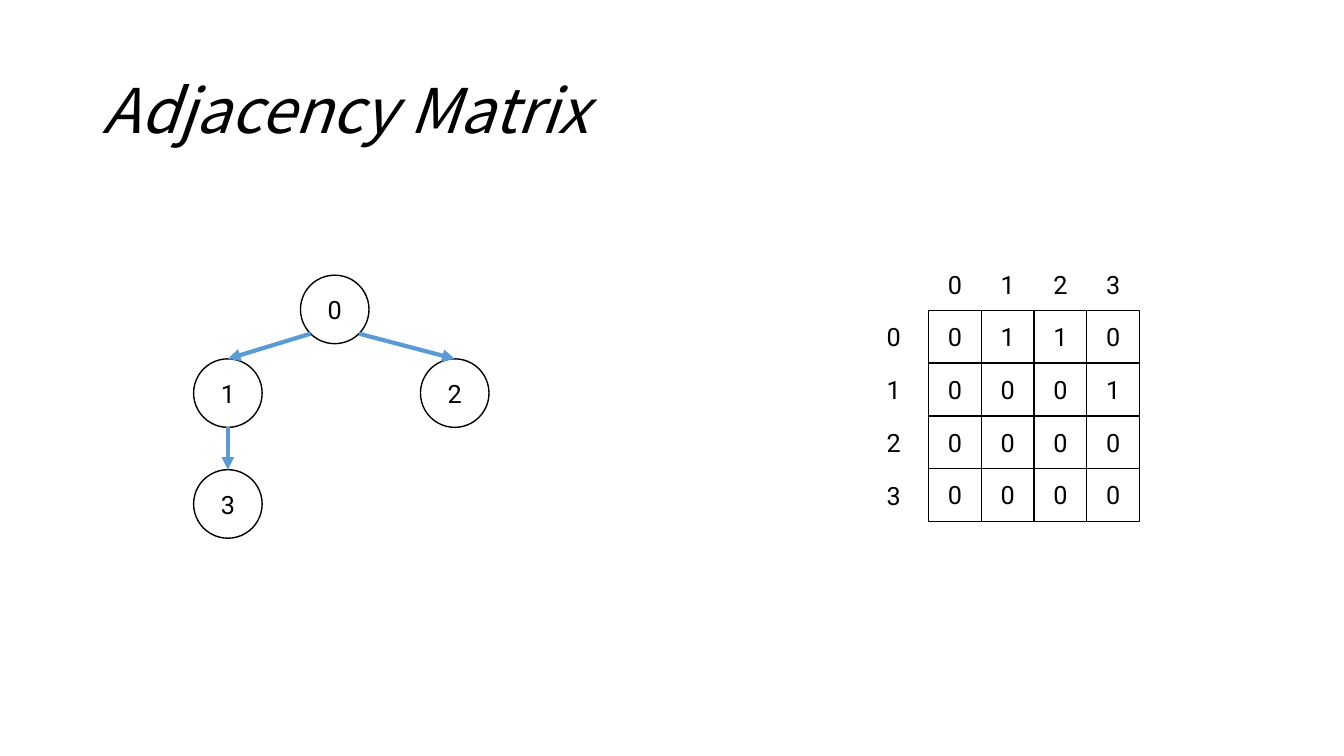
from math import sqrt
from lxml.etree import SubElement
from pptx import Presentation
from pptx.dml.color import RGBColor
from pptx.enum.shapes import MSO_CONNECTOR, MSO_SHAPE
from pptx.enum.text import MSO_ANCHOR, MSO_AUTO_SIZE, PP_ALIGN
from pptx.oxml.ns import qn
from pptx.util import Inches, Pt

# Content
TITLE = "Adjacency Matrix"
MATRIX = [
    [0, 1, 1, 0],
    [0, 0, 0, 1],
    [0, 0, 0, 0],
    [0, 0, 0, 0],
]
NODES = [(2.98, 2.73), (1.92, 3.56), (4.17, 3.56), (1.92, 4.66)]  # left, top
EDGES = [(0, 1), (0, 2), (1, 3)]

COLORS = {"ink": "000000", "paper": "FFFFFF", "arrow": "5B9BD5"}
FONT = "Roboto"
GRID_X, GRID_Y, CELL = 9.21, 3.08, 0.523
ROW_X, HEAD_Y = 8.7, 2.62  # row labels' left, column labels' top
LABEL_W, LABEL_H = 0.33, 0.4
NODE = 0.68


def color(name):
    return RGBColor.from_string(COLORS[name])


def write(frame, text):
    frame.margin_left = frame.margin_right = 0
    frame.margin_top = frame.margin_bottom = 0
    frame.vertical_anchor = MSO_ANCHOR.MIDDLE
    frame.word_wrap = False
    para = frame.paragraphs[0]
    para.text = str(text)
    para.alignment = PP_ALIGN.CENTER
    para.font.name, para.font.size = FONT, Pt(18)
    para.font.color.rgb = color("ink")


def add_box(kind, x, y, size, text, fill=None):
    box = slide.shapes.add_shape(
        kind, Inches(x), Inches(y), Inches(size), Inches(size))
    box.shadow.inherit = False
    if fill:
        box.fill.solid()
        box.fill.fore_color.rgb = color(fill)
    else:
        box.fill.background()
    box.line.color.rgb = color("ink")
    box.line.width = Pt(1)
    write(box.text_frame, text)


def add_label(x, y, text):
    label = slide.shapes.add_textbox(
        Inches(x), Inches(y), Inches(LABEL_W), Inches(LABEL_H))
    write(label.text_frame, text)


def add_arrow(start, end):
    ends = [Inches(v) for v in (*start, *end)]
    arrow = slide.shapes.add_connector(MSO_CONNECTOR.STRAIGHT, *ends)
    arrow.line.color.rgb = color("arrow")
    arrow.line.width = Pt(3)
    SubElement(arrow.line._get_or_add_ln(), qn("a:tailEnd"), type="triangle")
    SubElement(arrow._element.spPr, qn("a:effectLst"))


deck = Presentation()
deck.slide_width, deck.slide_height = Inches(13.33), Inches(7.5)
slide = deck.slides.add_slide(deck.slide_layouts[5])

# Title
title = slide.shapes.title
title.left, title.top = Inches(0.92), Inches(0.4)
title.width, title.height = Inches(11.5), Inches(1.45)
title.text_frame.text = TITLE
title.text_frame.auto_size = MSO_AUTO_SIZE.NONE
title.text_frame.vertical_anchor = MSO_ANCHOR.MIDDLE
head = title.text_frame.paragraphs[0]
head.alignment = PP_ALIGN.LEFT
head.line_spacing = 0.9
head.font.name, head.font.size = "Noto Sans CJK SC", Pt(44)
head.font.italic = True
head.font.color.rgb = color("ink")

# Matrix with row and column labels
for i, row in enumerate(MATRIX):
    step = i * CELL
    for j, value in enumerate(row):
        add_box(MSO_SHAPE.RECTANGLE, GRID_X + j * CELL, GRID_Y + step, CELL, value)
    add_label(ROW_X, GRID_Y + step + (CELL - LABEL_H) / 2, i)
    add_label(GRID_X + step + (CELL - LABEL_W) / 2, HEAD_Y, i)

# Graph nodes
for i, (x, y) in enumerate(NODES):
    add_box(MSO_SHAPE.OVAL, x, y, NODE, i, "paper")

# Graph edges: from the rim facing the child to the child's top
half = NODE / 2
for parent, child in EDGES:
    px, py = NODES[parent]
    cx, cy = NODES[child]
    side = (cx > px) - (cx < px)
    reach = half / sqrt(2) if side else half
    add_arrow((px + half + side * reach, py + half + reach), (cx + half, cy))

deck.save("out.pptx")
